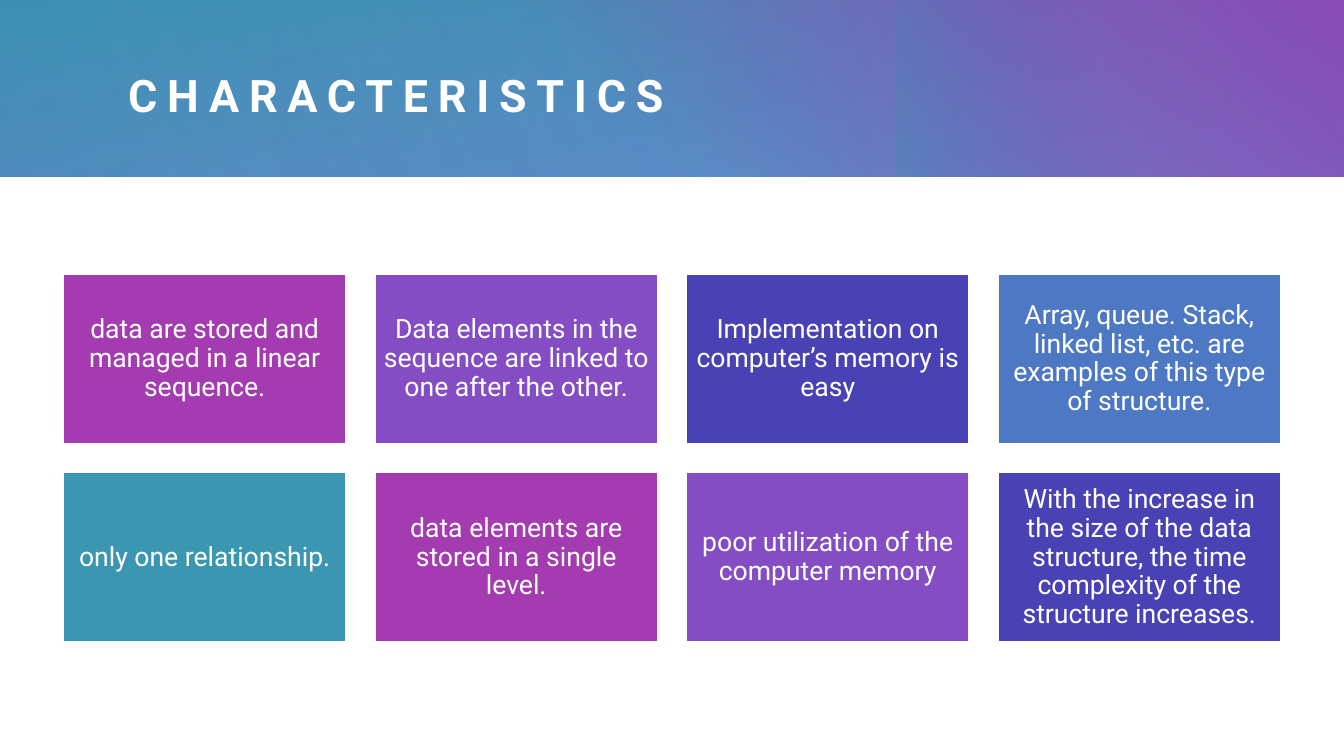
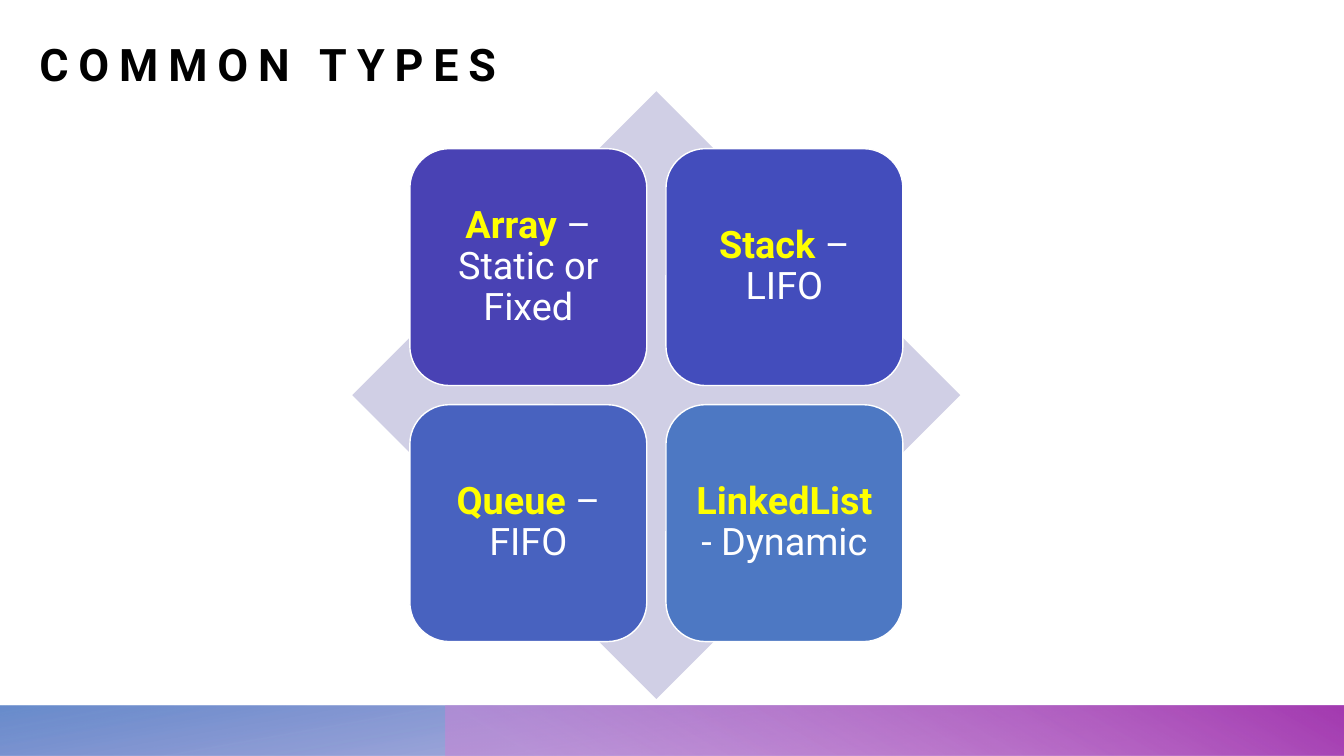
from dataclasses import dataclass

from pptx import Presentation
from pptx.dml.color import RGBColor
from pptx.enum.shapes import MSO_SHAPE as SHAPE
from pptx.enum.text import MSO_ANCHOR as ANCHOR, PP_ALIGN as ALIGN
from pptx.oxml.ns import qn
from pptx.oxml.xmlchemy import OxmlElement
from pptx.util import Inches, Pt


@dataclass(frozen=True)
class Theme:
    """Colours, font and type sizes of the deck."""
    font: str = "Roboto"
    white: str = "FFFFFF"
    black: str = "000000"
    yellow: str = "FFFF00"
    magenta: str = "A43BB1"
    pink: str = "CD84D6"
    violet: str = "854DC3"
    indigo: str = "4942B4"
    royal: str = "434DBC"
    cobalt: str = "4862BF"
    blue: str = "4D78C3"
    teal: str = "3B97B1"
    lavender: str = "D0CFE5"
    title_size: float = 32
    title_spacing: float = 7
    card_size: float = 19
    tile_size: float = 27


T = Theme()
WIDTH, HEIGHT = 13.33, 7.5
BAND_H, FOOTER_H = 1.75, 0.5


def rgb(color):
    """Turn a hex string into a colour."""
    return RGBColor.from_string(color)


def add_box(s, kind, x, y, w, h):
    """Add a preset shape without shadow or outline."""
    sp = s.shapes.add_shape(kind, Inches(x), Inches(y), Inches(w), Inches(h))
    sp.shadow.inherit = False
    sp.line.fill.background()
    return sp


def add_gradient(s, x, y, w, h, angle, *stops):
    """Add a rectangle with a two-stop gradient of (position, colour, opacity), angle clockwise."""
    sp = add_box(s, SHAPE.RECTANGLE, x, y, w, h)
    sp.fill.gradient()
    sp.fill.gradient_angle = 360 - angle
    for stop, (position, color, _) in zip(sp.fill.gradient_stops, stops):
        stop.position = position / 100
        stop.color.rgb = rgb(color)
    for clr, (_, _, opacity) in zip(sp.element.spPr.iter(qn("a:srgbClr")), stops):
        alpha = OxmlElement("a:alpha")
        alpha.set("val", str(opacity * 1000))
        clr.append(alpha)


def set_frame(tf, inset, anchor):
    """Wrap a text frame and set its equal insets and anchor."""
    tf.word_wrap = True
    tf.vertical_anchor = anchor
    tf.margin_left = tf.margin_right = tf.margin_top = tf.margin_bottom = Inches(inset)


def add_title(s, text, x, y, w, h, color, anchor):
    """Add a bold, letter-spaced title."""
    tf = s.shapes.add_textbox(Inches(x), Inches(y), Inches(w), Inches(h)).text_frame
    set_frame(tf, 0, anchor)
    p = tf.paragraphs[0]
    p.font.name, p.font.size, p.font.bold = T.font, Pt(T.title_size), True
    p.font.color.rgb = rgb(color)
    r = p.add_run()
    r.text = text
    r.font._element.set("spc", str(T.title_spacing * 100))


def add_card(s, kind, x, y, w, h, fill, size, inset, text, lead=""):
    """Add a filled card with centred white text after an optional bold yellow lead."""
    sp = add_box(s, kind, x, y, w, h)
    sp.fill.solid()
    sp.fill.fore_color.rgb = rgb(fill)
    sp.line.color.rgb = rgb(T.white)
    sp.line.width = Pt(1)
    set_frame(sp.text_frame, inset, ANCHOR.MIDDLE)
    p = sp.text_frame.paragraphs[0]
    p.alignment, p.line_spacing = ALIGN.CENTER, 0.9
    p.font.name, p.font.size = T.font, Pt(size)
    p.font.color.rgb = rgb(T.white)
    if lead:
        r = p.add_run()
        r.text, r.font.bold = lead, True
        r.font.color.rgb = rgb(T.yellow)
    p.add_run().text = text


def add_header(s):
    """Layer the gradients of the title band."""
    add_gradient(s, 0, 0, WIDTH, BAND_H, 260, (0, T.blue, 83), (100, T.teal, 100))
    add_gradient(s, 4.81, 0, 8.52, BAND_H, 310, (22, T.magenta, 0), (99, T.magenta, 100))
    add_gradient(s, 8.88, 0, 3.74, BAND_H, 160, (45, T.indigo, 0), (99, T.teal, 33))
    add_gradient(s, 2.68, 0, 10.65, BAND_H, 150, (0, T.blue, 30), (99, T.blue, 0))
    add_gradient(s, 0, 0, 8.65, BAND_H, 340, (0, T.blue, 21), (99, T.blue, 0))


def add_footer(s):
    """Layer the gradients of the footer strip."""
    y, x = HEIGHT - FOOTER_H, 4.42
    add_gradient(s, 0, y, WIDTH, FOOTER_H, 260, (14, T.indigo, 28), (100, T.blue, 85))
    add_gradient(s, x, y, WIDTH - x, FOOTER_H, 300, (9, T.pink, 55), (99, T.magenta, 100))


def add_card_grid(s, texts, columns=4):
    """Lay out cards in a centred grid, cycling through the accent colours."""
    w, h, gap, top = 2.8, 1.68, 0.29, 2.72
    left = (WIDTH - columns * w - (columns - 1) * gap) / 2
    accents = (T.magenta, T.violet, T.indigo, T.blue, T.teal)
    for i, text in enumerate(texts):
        row, col = divmod(i, columns)
        add_card(s, SHAPE.RECTANGLE, left + col * (w + gap), top + row * (h + gap), w, h,
                 accents[i % len(accents)], T.card_size, 0.08, text)


def add_matrix(s, tiles):
    """Place four rounded tiles around the centre of a diamond."""
    cx, cy, diamond, side, gap = 6.51, 3.92, 6.03, 2.35, 0.19
    sp = add_box(s, SHAPE.DIAMOND, cx - diamond / 2, cy - diamond / 2, diamond, diamond)
    sp.fill.solid()
    sp.fill.fore_color.rgb = rgb(T.lavender)
    start, pitch = -side - gap / 2, side + gap
    for i, (lead, text, fill) in enumerate(tiles):
        row, col = divmod(i, 2)
        add_card(s, SHAPE.ROUNDED_RECTANGLE, cx + start + col * pitch, cy + start + row * pitch,
                 side, side, fill, T.tile_size, 0.11, text, lead)


def build_characteristics(s):
    """Build the slide of characteristics."""
    add_header(s)
    add_title(s, "CHARACTERISTICS", 1.27, 0.41, 11.35, 1.06, T.white, ANCHOR.MIDDLE)
    add_card_grid(s, (
        "data are stored and managed in a linear sequence.",
        "Data elements in the sequence are linked to one after the other.",
        "Implementation on computer’s memory is easy",
        "Array, queue. Stack, linked list, etc. are examples of this type of structure.",
        "only one relationship.",
        "data elements are stored in a single level.",
        "poor utilization of the computer memory",
        "With the increase in the size of the data structure, "
        "the time complexity of the structure increases.",
    ))


def build_common_types(s):
    """Build the slide of common types."""
    add_footer(s)
    add_title(s, "COMMON TYPES", 0.39, 0.25, 5.29, 0.65, T.black, ANCHOR.BOTTOM)
    add_matrix(s, (
        ("Array", " – Static or Fixed", T.indigo),
        ("Stack", " – LIFO", T.royal),
        ("Queue", " – FIFO", T.cobalt),
        ("LinkedList", " - Dynamic", T.blue),
    ))


def main():
    """Build and save the deck."""
    prs = Presentation()
    prs.slide_width, prs.slide_height = Inches(WIDTH), Inches(HEIGHT)
    for build in (build_characteristics, build_common_types):
        build(prs.slides.add_slide(prs.slide_layouts[6]))
    prs.save("out.pptx")


if __name__ == "__main__":
    main()
